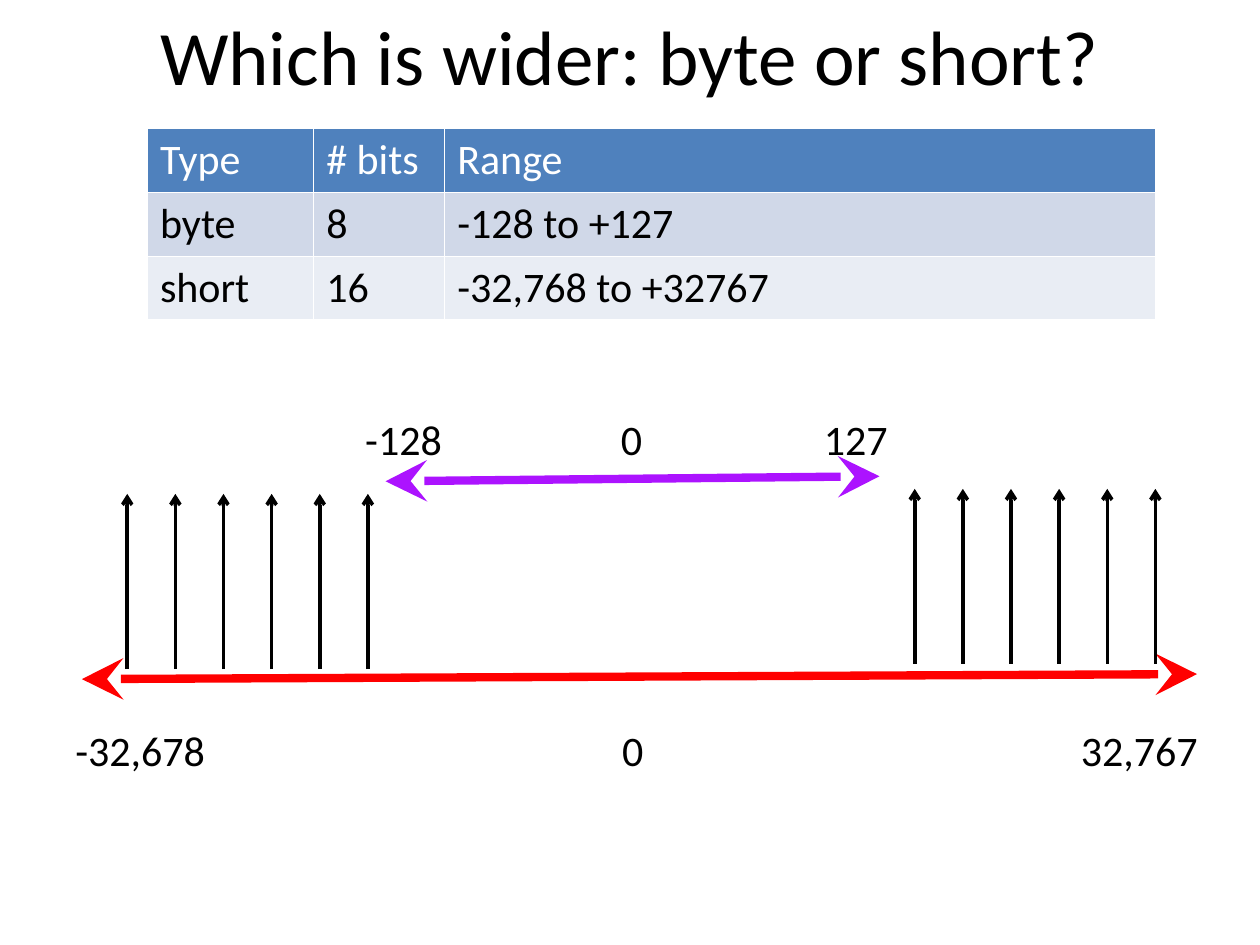
from lxml import etree
from pptx import Presentation
from pptx.dml.color import RGBColor
from pptx.enum import shapes, text
from pptx.oxml.ns import qn
from pptx.util import Inches, Pt

BLACK = RGBColor(0x00, 0x00, 0x00)
WHITE = RGBColor(0xFF, 0xFF, 0xFF)
PURPLE = RGBColor(0xAC, 0x13, 0xFF)
RED = RGBColor(0xFF, 0x00, 0x00)
HEADER = RGBColor(0x4F, 0x81, 0xBD)
BANDS = (RGBColor(0xD0, 0xD8, 0xE8), RGBColor(0xE9, 0xED, 0xF4))
BODY = {"name": "Calibri", "size": Pt(24), "bold": False}
TITLE = {**BODY, "size": Pt(44)}
ROWS = (("Type", "# bits", "Range"),
        ("byte", "8", "-128 to +127"),
        ("short", "16", "-32,768 to +32767"))


def set_font(p, fmt, color):
    """Apply a dict of font values and a colour to a paragraph."""
    for r in p.runs:
        for key, value in fmt.items():
            setattr(r.font, key, value)
        r.font.color.rgb = color


def add_title(s, x, y, w, h, words):
    """Fill and place the title placeholder."""
    sp = s.shapes.title
    sp.left, sp.top, sp.width, sp.height = map(Inches, (x, y, w, h))
    tf = sp.text_frame
    tf.text = words
    tf.vertical_anchor = text.MSO_ANCHOR.MIDDLE
    p = tf.paragraphs[0]
    p.alignment = text.PP_ALIGN.CENTER
    set_font(p, TITLE, BLACK)


def add_type_table(s, x, y, widths, row_h):
    """Place the table of types, bits and ranges."""
    box = map(Inches, (x, y, sum(widths), row_h * len(ROWS)))
    table = s.shapes.add_table(len(ROWS), len(widths), *box).table
    for col, width in zip(table.columns, widths):
        col.width = Inches(width)
    for i, row in enumerate(ROWS):
        table.rows[i].height = Inches(row_h)
        for j, words in enumerate(row):
            cell = table.cell(i, j)
            cell.text = words
            cell.fill.solid()
            cell.fill.fore_color.rgb = BANDS[(i - 1) % 2] if i else HEADER
            set_font(cell.text_frame.paragraphs[0], BODY, BLACK if i else WHITE)


def add_line(parent, start, end, color, width, **ends):
    """Draw a straight line with the given end markers."""
    points = map(Inches, (*start, *end))
    ln = parent.add_connector(shapes.MSO_CONNECTOR.STRAIGHT, *points)
    ln.line.color.rgb = color
    ln.line.width = Pt(width)
    for tag, attrs in ends.items():
        etree.SubElement(ln.line._ln, qn(f"a:{tag}"), attrs)
    etree.SubElement(ln._element.spPr, qn("a:effectLst"))


def add_range(s, start, end, color):
    """Draw a double-headed range arrow."""
    marker = {"type": "stealth", "w": "lg", "len": "lg"}
    add_line(s.shapes, start, end, color, 4.75, headEnd=marker, tailEnd=marker)


def add_labels(s, x, y, w, h, words, tabs):
    """Place a row of labels, set apart by tab stops."""
    tf = s.shapes.add_textbox(*map(Inches, (x, y, w, h))).text_frame
    tf.word_wrap = True
    p = tf.paragraphs[0]
    stops = etree.SubElement(p._p.get_or_add_pPr(), qn("a:tabLst"))
    for pos in tabs:
        etree.SubElement(stops, qn("a:tab"), pos=str(Inches(pos)), algn="l")
    p.add_run().text = "\t".join(words)
    set_font(p, BODY, BLACK)


def add_up_arrows(s, x, y, w, h, count=6):
    """Group evenly spaced upward arrows across the box."""
    group = s.shapes.add_group_shape()
    for i in range(count):
        left = x + w * i / (count - 1)
        add_line(group.shapes, (left, y + h), (left, y), BLACK, 2,
                 tailEnd={"type": "arrow"})


def main():
    """Build and save the slide."""
    prs = Presentation()
    prs.slide_width, prs.slide_height = Inches(10), Inches(7.5)
    s = prs.slides.add_slide(prs.slide_layouts[5])
    add_type_table(s, 1.17, 1.02, (1.32, 1.04, 5.64), 0.5)
    add_title(s, 0.5, -0.19, 9, 1.25, "Which is wider: byte or short?")
    add_range(s, (3.06, 3.82), (6.98, 3.78), PURPLE)
    add_range(s, (0.65, 5.39), (9.5, 5.35), RED)
    add_labels(s, 2.8, 3.23, 4.47, 0.5, ("-128", "0", "127"), (2.03, 3.64))
    add_labels(s, 0.5, 5.7, 9.43, 0.5, ("-32,678", "0", "32,767"), (4.34, 7.98))
    add_up_arrows(s, 7.26, 3.88, 1.91, 1.39)
    add_up_arrows(s, 1.01, 3.92, 1.91, 1.39)
    prs.save("out.pptx")


if __name__ == "__main__":
    main()
